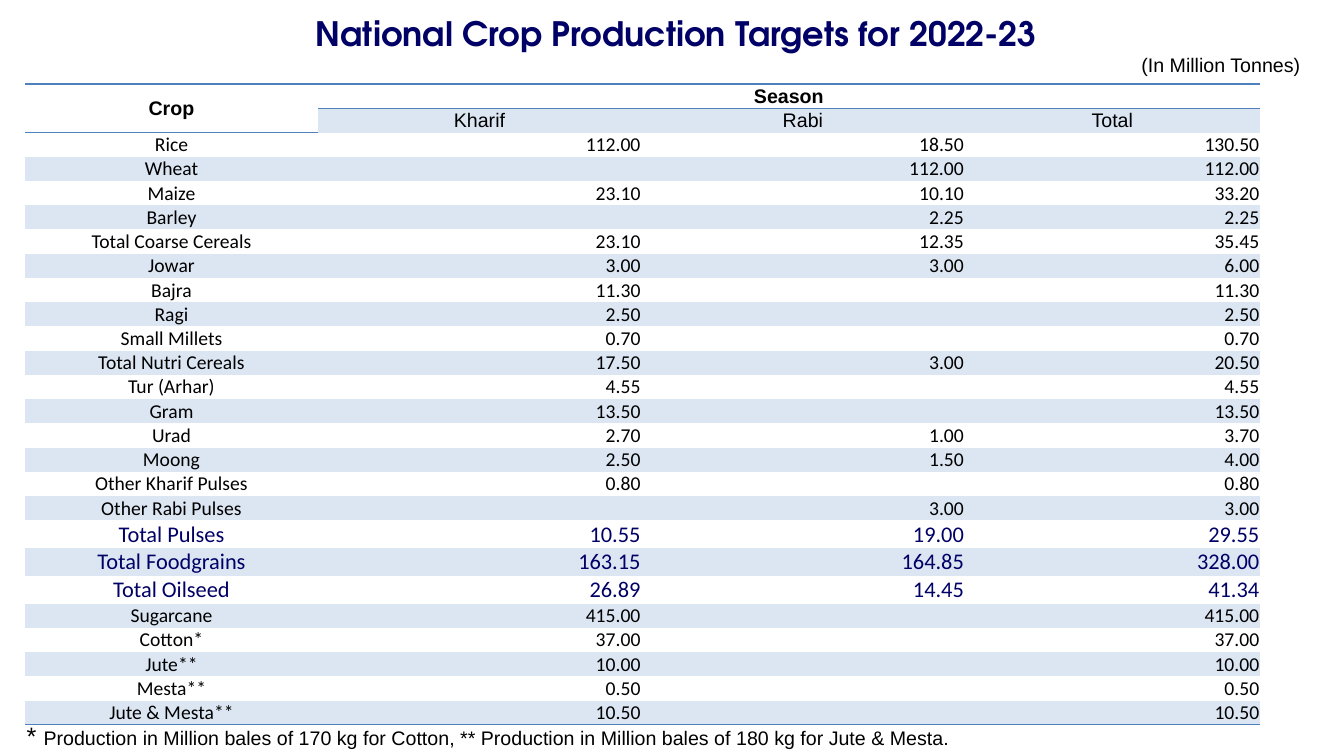
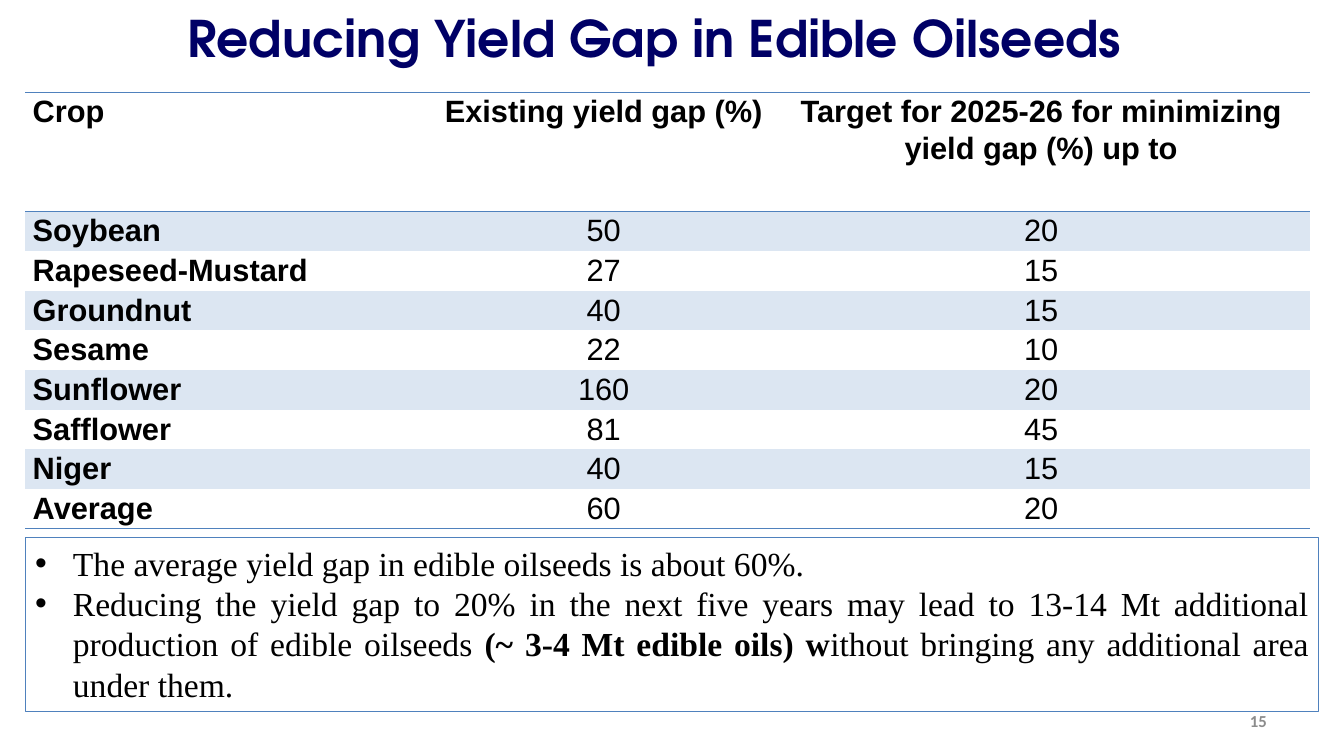
from dataclasses import dataclass
from typing import Any

from lxml import etree
from pptx import Presentation
from pptx.dml.color import RGBColor
from pptx.enum.shapes import MSO_SHAPE
from pptx.enum.text import MSO_ANCHOR, MSO_AUTO_SIZE, PP_ALIGN
from pptx.oxml.ns import qn
from pptx.util import Pt

LEFT, MID, RIGHT, JUST = PP_ALIGN.LEFT, PP_ALIGN.CENTER, PP_ALIGN.RIGHT, PP_ALIGN.JUSTIFY
TOP, CENTRE = MSO_ANCHOR.TOP, MSO_ANCHOR.MIDDLE
RECT = MSO_SHAPE.RECTANGLE
FIT, FIXED = MSO_AUTO_SIZE.SHAPE_TO_FIT_TEXT, MSO_AUTO_SIZE.NONE
PLAIN = "{2D5ABB26-0587-4C30-8999-92F81FD0307C}"  # table style: no fill, no grid

COLOURS = {"navy": "000066", "ink": "000000", "rule": "4F81BD", "band": "DCE6F2", "grey": "8C8C8C"}

# Text formats
TITLE = {"name": "TeX Gyre Adventor", "size": Pt(24), "bold": True, "colour": "navy"}
BIG = TITLE | {"size": Pt(36)}
NOTE = {"name": "Arial", "size": Pt(14), "bold": False, "colour": "ink"}
STAR = NOTE | {"size": Pt(18)}
HEAD = NOTE | {"bold": True}
BODY = NOTE | {"name": "Calibri"}
SUM = BODY | {"size": Pt(16), "colour": "navy"}
GAP = NOTE | {"size": Pt(22)}
GAP_HEAD = GAP | {"bold": True}
POINT = NOTE | {"name": "Times New Roman", "size": Pt(24)}
STRONG = POINT | {"bold": True}
PAGE = {"name": "Calibri", "size": Pt(12), "bold": True, "colour": "grey"}

# Slide content
TARGETS = [
    ("Crop", "Season", "", ""),
    ("", "Kharif", "Rabi", "Total"),
    ("Rice", "112.00", "18.50", "130.50"),
    ("Wheat", "", "112.00", "112.00"),
    ("Maize", "23.10", "10.10", "33.20"),
    ("Barley", "", "2.25", "2.25"),
    ("Total Coarse Cereals", "23.10", "12.35", "35.45"),
    ("Jowar", "3.00", "3.00", "6.00"),
    ("Bajra", "11.30", "", "11.30"),
    ("Ragi", "2.50", "", "2.50"),
    ("Small Millets", "0.70", "", "0.70"),
    ("Total Nutri Cereals", "17.50", "3.00", "20.50"),
    ("Tur (Arhar)", "4.55", "", "4.55"),
    ("Gram", "13.50", "", "13.50"),
    ("Urad", "2.70", "1.00", "3.70"),
    ("Moong", "2.50", "1.50", "4.00"),
    ("Other Kharif Pulses", "0.80", "", "0.80"),
    ("Other Rabi Pulses", "", "3.00", "3.00"),
    ("Total Pulses", "10.55", "19.00", "29.55"),
    ("Total Foodgrains", "163.15", "164.85", "328.00"),
    ("Total Oilseed", "26.89", "14.45", "41.34"),
    ("Sugarcane", "415.00", "", "415.00"),
    ("Cotton*", "37.00", "", "37.00"),
    ("Jute**", "10.00", "", "10.00"),
    ("Mesta**", "0.50", "", "0.50"),
    ("Jute & Mesta**", "10.50", "", "10.50"),
]
SUMS = ("Total Pulses", "Total Foodgrains", "Total Oilseed")

GAPS = [
    ("Crop", "Existing yield gap (%)", "Target for 2025-26 for minimizing yield gap (%) up to"),
    ("Soybean", "50", "20"),
    ("Rapeseed-Mustard", "27", "15"),
    ("Groundnut", "40", "15"),
    ("Sesame", "22", "10"),
    ("Sunflower", "160", "20"),
    ("Safflower", "81", "45"),
    ("Niger", "40", "15"),
    ("Average", "60", "20"),
]

POINTS = [
    [("The average yield gap in edible oilseeds is about 60%.", POINT)],
    [("Reducing the yield gap to 20% in the next five years may lead to 13-14 Mt additional "
      "production of edible oilseeds ", POINT),
     ("(~ 3-4 Mt edible oils) w", STRONG),
     ("ithout bringing any additional area under them.", POINT)],
]


@dataclass
class Box:
    x: float
    y: float
    w: float
    h: float

    def place(self) -> tuple:
        return Pt(self.x), Pt(self.y), Pt(self.w), Pt(self.h)


@dataclass
class Label:
    box: Box
    runs: list
    align: Any = LEFT
    wrap: bool = True
    anchor: Any = TOP
    size: Any = FIT


@dataclass
class Cell:
    text: str
    form: dict
    align: Any
    band: bool = False
    edges: str = ""


def rgb(name: str) -> RGBColor:
    return RGBColor.from_string(COLOURS[name])


def add_runs(para: Any, runs: list) -> None:
    for text, form in runs:
        run = para.add_run()
        run.text = text
        for key, value in form.items():
            if key == "colour":
                run.font.color.rgb = rgb(value)
            else:
                setattr(run.font, key, value)


def add_label(slide: Any, label: Label) -> None:
    frame = slide.shapes.add_textbox(*label.box.place()).text_frame
    frame.word_wrap = label.wrap
    frame.vertical_anchor = label.anchor
    frame.auto_size = label.size
    para = frame.paragraphs[0]
    para.alignment = label.align
    add_runs(para, label.runs)


def add_edge(cell: Any, side: str) -> None:
    line = etree.Element(qn(f"a:ln{side}"), w=str(Pt(1)))
    fill = etree.SubElement(line, qn("a:solidFill"))
    etree.SubElement(fill, qn("a:srgbClr"), val=COLOURS["rule"])
    cell._tc.get_or_add_tcPr().insert(0, line)


def fill_cell(cell: Any, data: Cell, pads: dict, para_form: dict) -> None:
    for key, value in pads.items():
        setattr(cell, key, value)
    para = cell.text_frame.paragraphs[0]
    para.alignment = data.align
    for key, value in para_form.items():
        setattr(para, key, value)
    if data.text:
        add_runs(para, [(data.text, data.form)])
    else:  # keep empty cells as low as their row
        etree.SubElement(para._p, qn("a:endParaRPr"), sz=str(int(data.form["size"].pt * 100)))
    if data.band:
        cell.fill.solid()
        cell.fill.fore_color.rgb = rgb("band")
    else:
        cell.fill.background()
    for side in data.edges:  # "BT" puts the top edge first, as the schema asks
        add_edge(cell, side)


def add_grid(slide: Any, box: Box, cols: list, highs: list, cells: list,
             pads: dict, para_form: dict) -> Any:
    table = slide.shapes.add_table(len(highs), len(cols), *box.place()).table
    table._tbl.tblPr.find(qn("a:tableStyleId")).text = PLAIN
    table.first_row = table.horz_banding = False
    for col, width in zip(table.columns, cols):
        col.width = Pt(width)
    for row, high, line in zip(table.rows, highs, cells):
        row.height = Pt(high)
        for cell, data in zip(row.cells, line):
            fill_cell(cell, data, pads, para_form)
    return table


def target_cell(row: int, col: int) -> Cell:
    line = TARGETS[row]
    if row < 2:
        form = NOTE if row and col else HEAD
    else:
        form = SUM if line[0] in SUMS else BODY
    edges = "B" if row == len(TARGETS) - 1 or (row, col) == (1, 0) else ""
    return Cell(line[col], form, MID if row < 2 or col == 0 else RIGHT,
                band=row % 2 == 1 and (row, col) != (1, 0),
                edges="BT" if row == 0 else edges)


def gap_cell(row: int, col: int) -> Cell:
    edges = "B" if row == len(GAPS) - 1 else ""
    return Cell(GAPS[row][col], GAP if row and col else GAP_HEAD, MID if col else LEFT,
                band=row % 2 == 1, edges="BT" if row == 0 else edges)


def draw_targets(slide: Any) -> None:
    # Crop table
    cells = [[target_cell(r, c) for c in range(4)] for r in range(len(TARGETS))]
    highs = [19.5 if line[0] in SUMS else 17.33 for line in TARGETS]
    pads = {"margin_left": Pt(0.5), "margin_right": Pt(0.5), "margin_top": Pt(0.2),
            "margin_bottom": Pt(0), "vertical_anchor": CENTRE}
    table = add_grid(slide, Box(18, 60, 882, sum(highs)), [209, 231, 231, 211],
                     highs, cells, pads, {})
    table.cell(0, 0).merge(table.cell(1, 0))
    table.cell(0, 1).merge(table.cell(0, 3))

    # Title, unit and footnote
    notes = "Production in Million bales of 170 kg for Cotton, ** Production in Million bales of 180 kg for Jute & Mesta."
    for label in (
        Label(Box(66, 6, 834, 36), [("National Crop Production Targets for 2022-23", TITLE)], MID),
        Label(Box(807, 34.5, 129, 24.5), [("(In Million Tonnes)", NOTE)], RIGHT, wrap=False),
        Label(Box(12, 511, 774, 29), [("* ", STAR), (notes, NOTE)]),
    ):
        add_label(slide, label)


def draw_points(slide: Any) -> None:
    shape = slide.shapes.add_shape(RECT, *Box(18, 384, 924, 124).place())
    shape.shadow.inherit = False
    shape.fill.background()
    shape.line.color.rgb = rgb("rule")
    shape.line.width = Pt(0.75)
    frame = shape.text_frame
    frame.word_wrap = True
    frame.vertical_anchor = TOP
    frame.auto_size = FIT
    for i, runs in enumerate(POINTS):
        para = frame.add_paragraph() if i else frame.paragraphs[0]
        para.alignment = JUST
        props = para._p.get_or_add_pPr()
        props.set("marL", str(Pt(27)))
        props.set("indent", str(-Pt(27)))
        etree.SubElement(props, qn("a:buFont"), typeface="Arial")
        etree.SubElement(props, qn("a:buChar"), char="•")
        add_runs(para, runs)


def draw_gaps(slide: Any) -> None:
    # Bullet box
    draw_points(slide)

    # Yield gap table
    cells = [[gap_cell(r, c) for c in range(3)] for r in range(len(GAPS))]
    highs = [85] + [28.35] * (len(GAPS) - 1)
    pads = {"margin_left": Pt(5.4), "margin_right": Pt(5.4), "margin_top": Pt(0),
            "margin_bottom": Pt(0), "vertical_anchor": TOP}
    add_grid(slide, Box(18, 66, 918, sum(highs)), [293, 240.5, 384.5], highs, cells, pads,
             {"line_spacing": 1.07, "space_after": Pt(8)})

    # Page number and title
    add_label(slide, Label(Box(688, 500.5, 224, 28.75), [("15", PAGE)], RIGHT,
                           anchor=CENTRE, size=FIXED))
    add_label(slide, Label(Box(126, 1.5, 682.5, 51), [("Reducing Yield Gap in Edible Oilseeds", BIG)],
                           MID, wrap=False, anchor=CENTRE))


def main() -> None:
    deck = Presentation()
    deck.slide_width, deck.slide_height = Pt(960), Pt(540)
    for draw in (draw_targets, draw_gaps):
        draw(deck.slides.add_slide(deck.slide_layouts[6]))
    deck.save("out.pptx")


if __name__ == "__main__":
    main()
